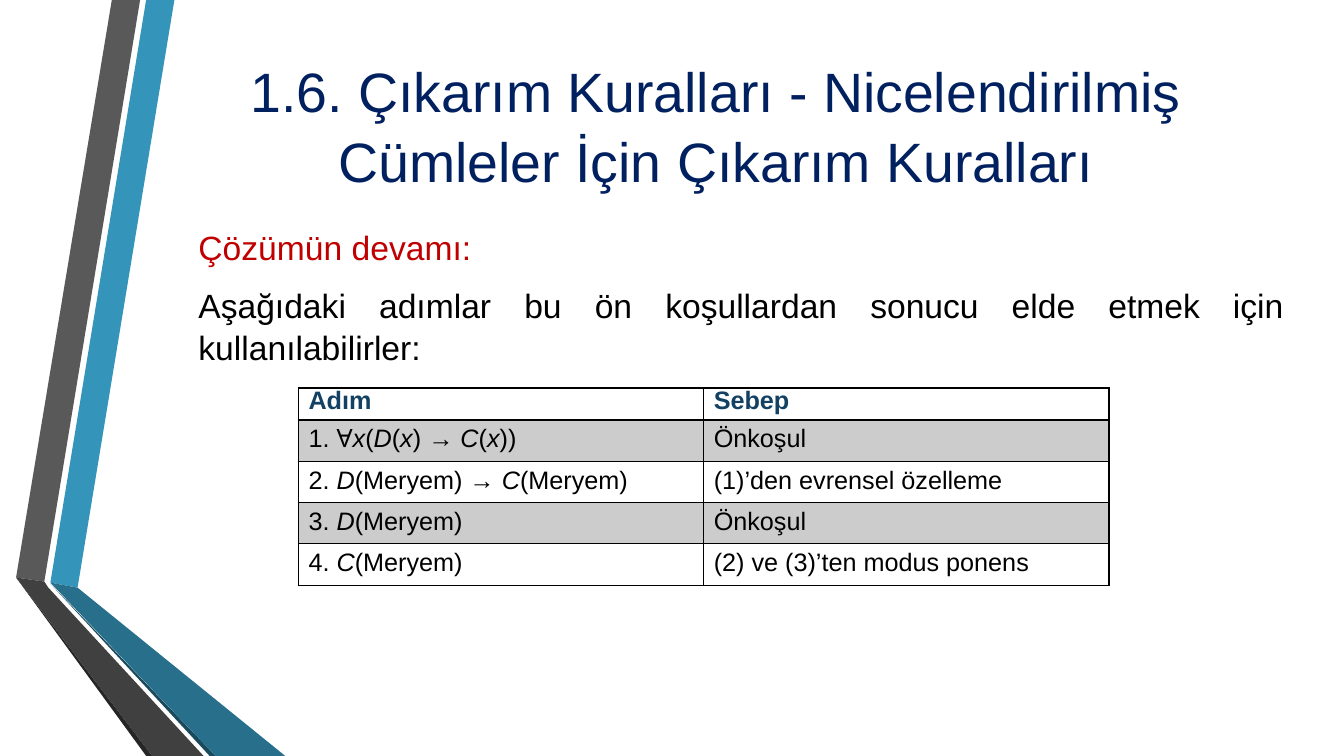
"""Build the slide on inference rules for quantified statements."""
import pptx
import pptx.util
import pptx.dml.color
import pptx.enum.text
import pptx.oxml
import pptx.oxml.ns

COLORS = {
    "title": "002060", "lead": "C00000", "text": "000000", "header": "134163",
    "band": "CCCCCC", "plain": "FFFFFF", "blue": "3494BA", "gray": "595959",
    "black": "262626", "navy": "1A4A5D", "teal": "276F8B", "charcoal": "404040",
}
FONT = "Arial"
SLIDE_W, SLIDE_H = 13.33, 7.5

TITLE = "1.6. Çıkarım Kuralları - Nicelendirilmiş Cümleler İçin Çıkarım Kuralları"
BODY = [
    ("Çözümün devamı:", "lead"),
    ("Aşağıdaki adımlar bu ön koşullardan sonucu elde etmek için kullanılabilirler:", "text"),
]
# Asterisks switch italics on and off.
STEPS = [
    ("Adım", "Sebep"),
    ("1. Ɐ*x*(*D*(*x*) *→ C*(*x*))", "Önkoşul"),
    ("2. *D*(Meryem) → *C*(Meryem)", "(1)’den evrensel özelleme"),
    ("3. *D*(Meryem)", "Önkoşul"),
    ("4. *C*(Meryem)", "(2) ve (3)’ten modus ponens"),
]
COL_W, HEADER_H, ROW_H = 4.02, 0.31, 0.41

RIBBONS = [
    ("blue", [(0.5, 5.78), (0.77, 5.83), (1.73, 0), (1.45, 0)]),
    ("gray", [(1.39, 0), (1.11, 0), (0.16, 5.73), (0.44, 5.77)]),
    ("black", [(0.16, 5.73), (1.45, SLIDE_H), (1.51, SLIDE_H)]),
    ("navy", [(0.5, 5.79), (2.08, SLIDE_H), (2.14, SLIDE_H)]),
    ("teal", [(0.5, 5.78), (2.14, SLIDE_H), (2.83, SLIDE_H), (0.77, 5.83)]),
    ("charcoal", [(2.02, SLIDE_H), (0.48, 5.83), (0.44, 5.77), (0.16, 5.73), (1.51, SLIDE_H)]),
]

Inches, Pt = pptx.util.Inches, pptx.util.Pt
ALIGN = pptx.enum.text.PP_ALIGN


def rgb(name):
    """Return the named colour."""
    return pptx.dml.color.RGBColor.from_string(COLORS[name])


def style(p, size, color, bold=False):
    """Set the font of a whole paragraph."""
    p.font.name, p.font.size, p.font.bold = FONT, Pt(size), bold
    p.font.color.rgb = rgb(color)


def add_ribbon(slide, color, points):
    """Draw one filled polygon of the side ribbon."""
    builder = slide.shapes.build_freeform(
        Inches(points[0][0]), Inches(points[0][1]), scale=1.0)
    builder.add_line_segments([(Inches(x), Inches(y)) for x, y in points[1:]], close=True)
    sp = builder.convert_to_shape()
    sp.shadow.inherit = False
    sp.fill.solid()
    sp.fill.fore_color.rgb = rgb(color)
    sp.line.fill.background()


def add_borders(cell):
    """Give a cell thin lines on all four sides."""
    tc_pr = cell._tc.get_or_add_tcPr()
    for i, side in enumerate(("lnL", "lnR", "lnT", "lnB")):
        tc_pr.insert(i, pptx.oxml.parse_xml(
            f'<a:{side} {pptx.oxml.ns.nsdecls("a")} w="12700"><a:solidFill>'
            f'<a:srgbClr val="{COLORS["text"]}"/></a:solidFill></a:{side}>'))


def add_title(slide):
    """Place and format the title."""
    sp = slide.shapes.title
    sp.left, sp.top, sp.width, sp.height = map(Inches, (1.62, 0.46, 10.96, 1.54))
    tf = sp.text_frame
    tf.word_wrap = True
    tf.auto_size = pptx.enum.text.MSO_AUTO_SIZE.NONE
    tf.vertical_anchor = pptx.enum.text.MSO_ANCHOR.MIDDLE
    tf.text = TITLE
    p = tf.paragraphs[0]
    p.alignment, p.line_spacing = ALIGN.CENTER, 1.05
    style(p, 39.6, "title")


def add_body(slide):
    """Add the introduction above the table."""
    tf = slide.shapes.add_textbox(*map(Inches, (1.87, 2.19, 10.96, 1.5))).text_frame
    tf.word_wrap = True
    for i, (text, color) in enumerate(BODY):
        p = tf.add_paragraph() if i else tf.paragraphs[0]
        p.text = text
        p.alignment, p.line_spacing = ALIGN.JUSTIFY, 1.04
        p.space_before, p.space_after = Pt(5 if i else 0), Pt(6)
        style(p, 24, color)


def add_steps(slide):
    """Add the table of steps and reasons."""
    height = HEADER_H + ROW_H * (len(STEPS) - 1)
    table = slide.shapes.add_table(
        len(STEPS), 2, *map(Inches, (2.96, 3.85, 2 * COL_W, height))).table
    table.first_row = table.horz_banding = False
    for column in table.columns:
        column.width = Inches(COL_W)
    for i, texts in enumerate(STEPS):
        table.rows[i].height = Inches(ROW_H if i else HEADER_H)
        for j, text in enumerate(texts):
            cell = table.cell(i, j)
            cell.fill.solid()
            cell.fill.fore_color.rgb = rgb("band" if i % 2 else "plain")
            add_borders(cell)
            p = cell.text_frame.paragraphs[0]
            for k, part in enumerate(text.split("*")):
                if part:
                    r = p.add_run()
                    r.text = part
                    if k % 2:
                        r.font.italic = True
            if i == 0:
                p.line_spacing = Pt(15.5)
            style(p, 18, "text" if i else "header", bold=i == 0)


def main():
    """Build and save the presentation."""
    prs = pptx.Presentation()
    prs.slide_width, prs.slide_height = Inches(SLIDE_W), Inches(SLIDE_H)
    slide = prs.slides.add_slide(prs.slide_layouts[5])
    for color, points in RIBBONS:
        add_ribbon(slide, color, points)
    add_title(slide)
    add_body(slide)
    add_steps(slide)
    prs.save("out.pptx")


if __name__ == "__main__":
    main()
